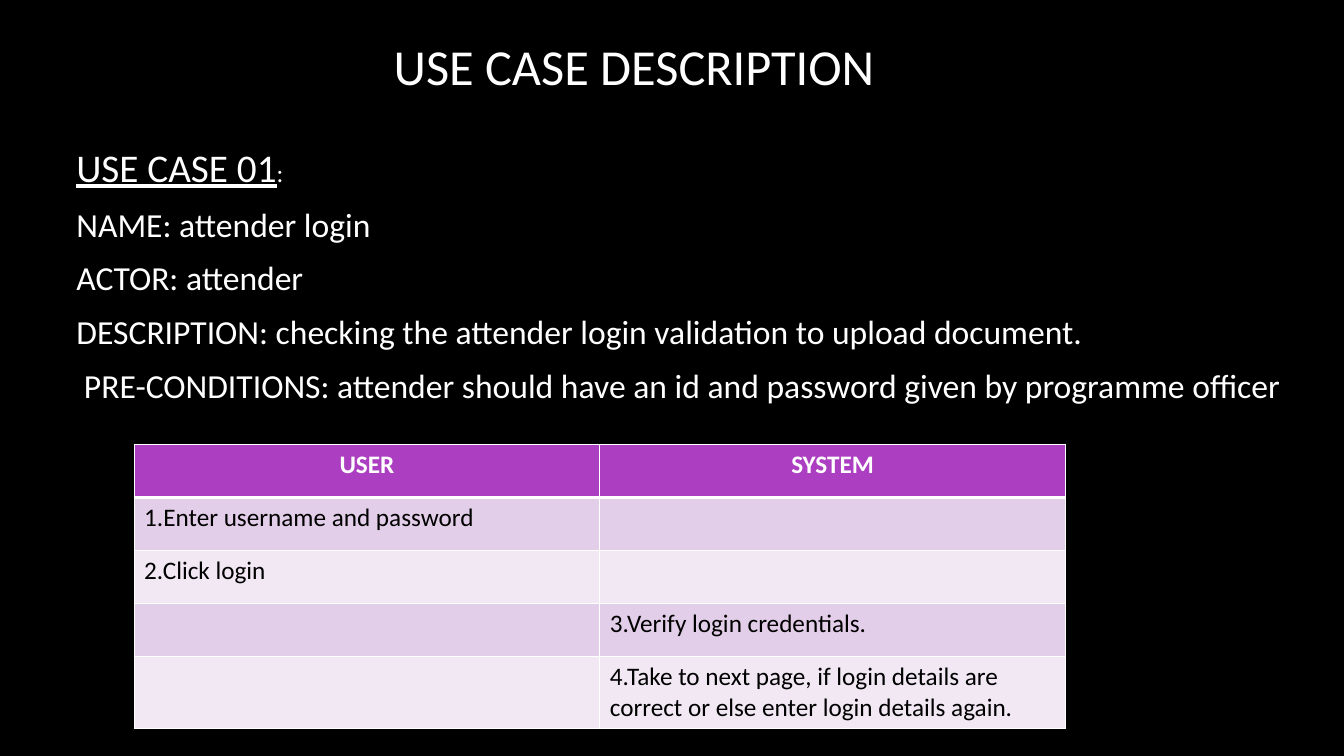
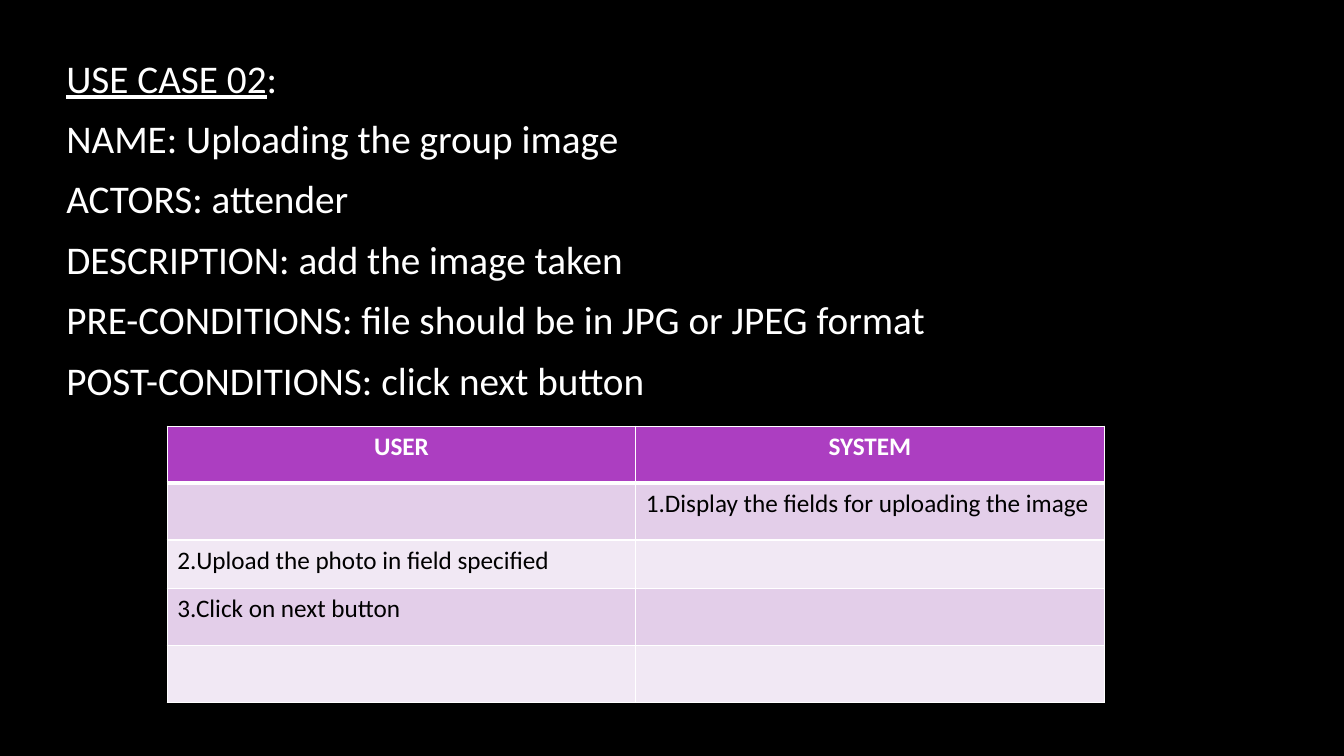
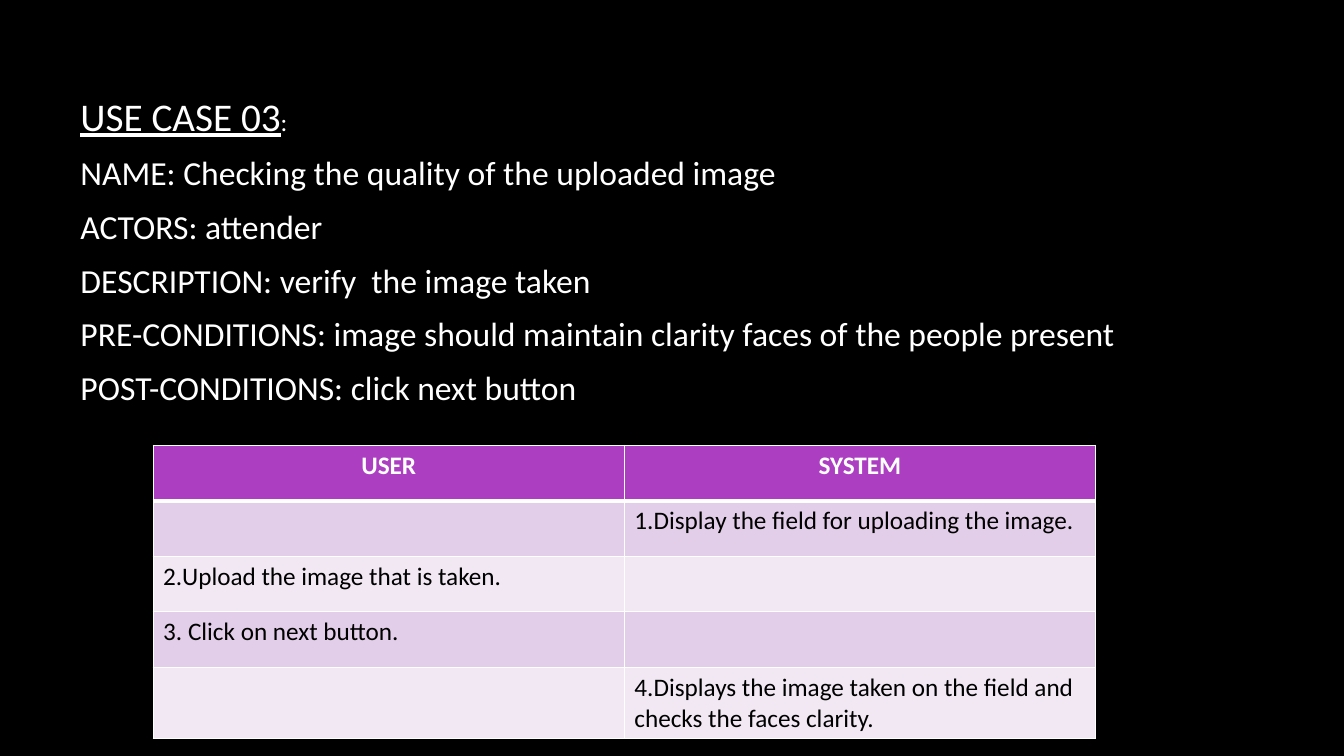
"""Build three use case slides, each with a description and a step table."""
from dataclasses import dataclass

from lxml.etree import SubElement
from pptx import Presentation
from pptx.dml.color import RGBColor
from pptx.enum.text import MSO_ANCHOR, PP_ALIGN
from pptx.oxml.ns import qn
from pptx.util import Pt


@dataclass(frozen=True)
class Theme:
    """Colours, font and type sizes shared by the slides."""
    font: str = "Calibri"
    background: str = "000000"
    light: str = "FFFFFF"
    dark: str = "000000"
    header: str = "AC3EC1"
    bands: tuple = ("E3CEE9", "F1E8F4")
    title_size: float = 36
    heading_size: float = 28
    body_size: float = 24
    small_size: float = 18
    gap: float = 9.5
    border: float = 1
    header_border: float = 3


THEME = Theme()


def write(paragraph, text, size=THEME.small_size, color=THEME.light,
          bold=False, underline=False, align=PP_ALIGN.LEFT):
    """Append formatted text to a paragraph."""
    paragraph.alignment = align
    run = paragraph.add_run()
    run.text = text
    run.font.name = THEME.font
    run.font.size = Pt(size)
    run.font.bold = bold
    run.font.underline = underline
    run.font.color.rgb = RGBColor.from_string(color)


def add_slide(deck):
    """Add a blank slide with the shared background."""
    slide = deck.slides.add_slide(deck.slide_layouts[6])
    slide.background.fill.solid()
    slide.background.fill.fore_color.rgb = RGBColor.from_string(THEME.background)
    return slide


def add_frame(slide, area):
    """Add a wrapping, vertically centred text frame."""
    frame = slide.shapes.add_textbox(*map(Pt, area)).text_frame
    frame.word_wrap = True
    frame.vertical_anchor = MSO_ANCHOR.MIDDLE
    return frame


def add_title(slide, title):
    """Add the centred slide title."""
    frame = add_frame(slide, (54, 18, 798, 57.6))
    write(frame.paragraphs[0], title, size=THEME.title_size, align=PP_ALIGN.CENTER)


def add_description(slide, area, heading, details,
                    colon_size=THEME.small_size, detail_size=THEME.body_size):
    """Add the underlined use case heading and its detail lines."""
    frame = add_frame(slide, area)
    first = frame.paragraphs[0]
    write(first, heading, size=THEME.heading_size, underline=True)
    write(first, ":", size=colon_size)
    for detail in details:
        write(frame.add_paragraph(), detail, size=detail_size)
    for paragraph in frame.paragraphs:
        paragraph.space_after = Pt(THEME.gap)


def set_borders(cell, top, bottom):
    """Draw the white borders of a table cell."""
    properties = cell._tc.get_or_add_tcPr()
    widths = {"L": THEME.border, "R": THEME.border, "T": top, "B": bottom}
    for side, width in widths.items():
        line = SubElement(properties, qn(f"a:ln{side}"), w=str(Pt(width)))
        fill = SubElement(line, qn("a:solidFill"))
        SubElement(fill, qn("a:srgbClr"), val=THEME.light)


def add_steps(slide, left, top, column_width, heights, steps):
    """Add the table of user and system steps."""
    rows = [("USER", "SYSTEM"), *steps]
    table = slide.shapes.add_table(
        len(rows), 2, Pt(left), Pt(top), Pt(2 * column_width), Pt(sum(heights))).table
    table.horz_banding = False
    for column in table.columns:
        column.width = Pt(column_width)
    for index, (height, texts) in enumerate(zip(heights, rows)):
        table.rows[index].height = Pt(height)
        is_header = index == 0
        fill = THEME.header if is_header else THEME.bands[(index - 1) % 2]
        for cell, text in zip(table.rows[index].cells, texts):
            set_borders(cell,
                        top=THEME.header_border if index == 1 else THEME.border,
                        bottom=THEME.header_border if is_header else THEME.border)
            cell.fill.solid()
            cell.fill.fore_color.rgb = RGBColor.from_string(fill)
            if text:
                write(cell.text_frame.paragraphs[0], text, bold=is_header,
                      color=THEME.light if is_header else THEME.dark,
                      align=PP_ALIGN.CENTER if is_header else PP_ALIGN.LEFT)


def add_login_case(deck):
    """Add use case 01."""
    slide = add_slide(deck)
    add_title(slide, "USE CASE DESCRIPTION")
    add_description(slide, (47.5, 65, 890.6, 261.4), "USE CASE 01", [
        "NAME: attender login",
        "ACTOR: attender",
        "DESCRIPTION: checking the attender login validation to upload document.",
        " PRE-CONDITIONS: attender should have an id and password given by programme officer",
    ])
    add_steps(slide, 95.8, 317.4, 332.6, [37.9] * 4 + [51.2], [
        ("1.Enter username and password", ""),
        ("2.Click login", ""),
        ("", "3.Verify login credentials."),
        ("", "4.Take to next page, if login details are correct "
             "or else enter login details again."),
    ])


def add_upload_case(deck):
    """Add use case 02."""
    slide = add_slide(deck)
    add_description(slide, (40.3, 48.2, 843.8, 230), "USE CASE 02", [
        "NAME: Uploading the group image",
        "ACTORS: attender",
        "DESCRIPTION: add the image taken",
        "PRE-CONDITIONS: file should be in JPG or JPEG format",
        "POST-CONDITIONS: click next button",
    ], colon_size=THEME.heading_size, detail_size=THEME.heading_size)
    add_steps(slide, 119.5, 304.4, 334.6, [40.7, 40.7, 34.4, 40.7, 40.7], [
        ("", "1.Display the fields for uploading the image"),
        ("2.Upload the photo in field specified", ""),
        ("3.Click on next button", ""),
        ("", ""),
    ])


def add_quality_case(deck):
    """Add use case 03."""
    slide = add_slide(deck)
    add_description(slide, (50.4, 28.8, 857.5, 298.8), "USE CASE 03", [
        "NAME: Checking the quality of the uploaded image",
        "ACTORS: attender",
        "DESCRIPTION: verify  the image taken",
        "PRE-CONDITIONS: image should maintain clarity faces of the people present",
        "POST-CONDITIONS: click next button",
    ])
    add_steps(slide, 109.4, 318.2, 336.6, [39.6] * 4 + [51.2], [
        ("", "1.Display the field for uploading the image."),
        ("2.Upload the image that is taken.", ""),
        ("3. Click on next button.", ""),
        ("", "4.Displays the image taken on the field and checks the faces clarity."),
    ])


def main():
    """Create and save the presentation."""
    deck = Presentation()
    deck.slide_width, deck.slide_height = Pt(960), Pt(540)
    add_login_case(deck)
    add_upload_case(deck)
    add_quality_case(deck)
    deck.save("out.pptx")


if __name__ == "__main__":
    main()
